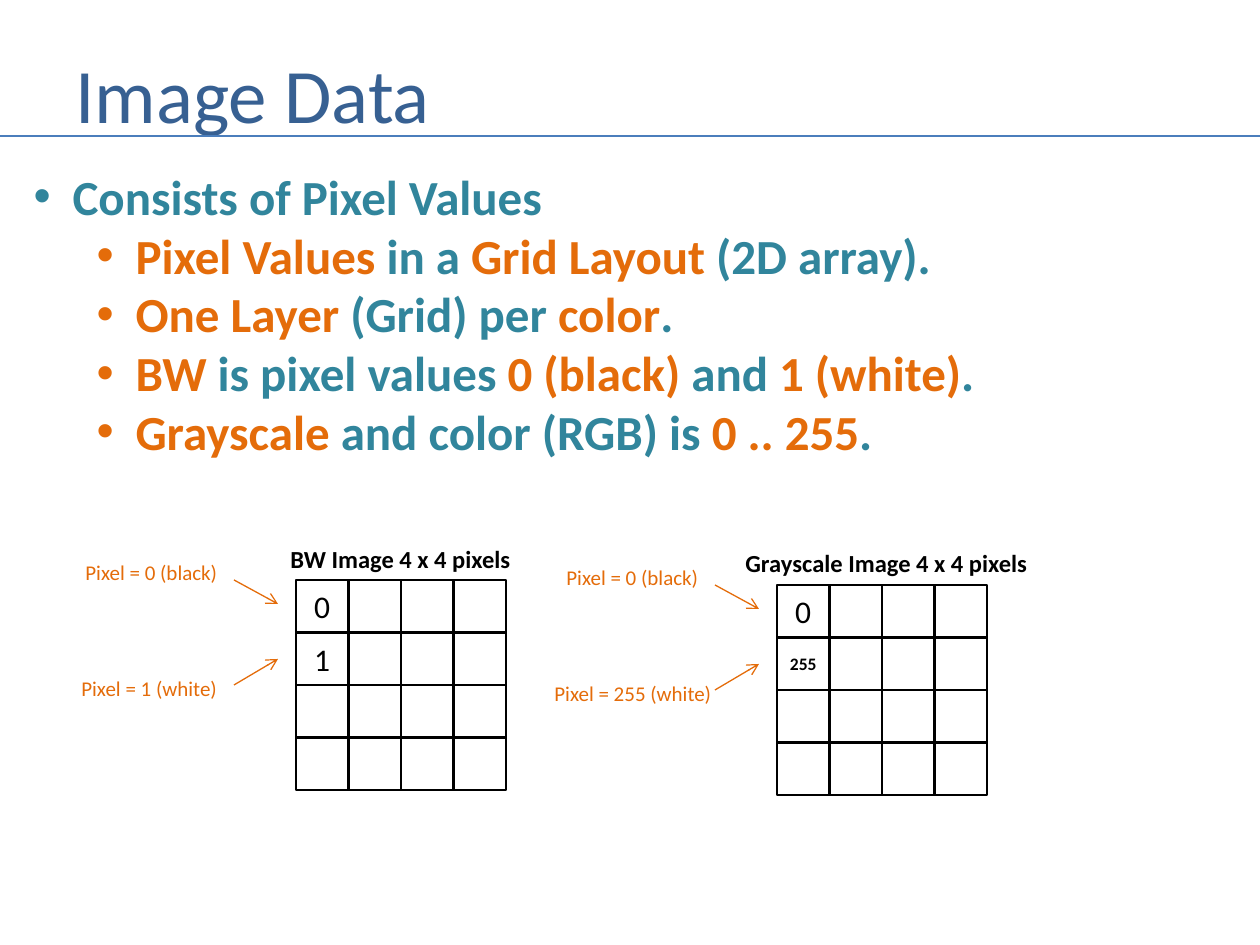
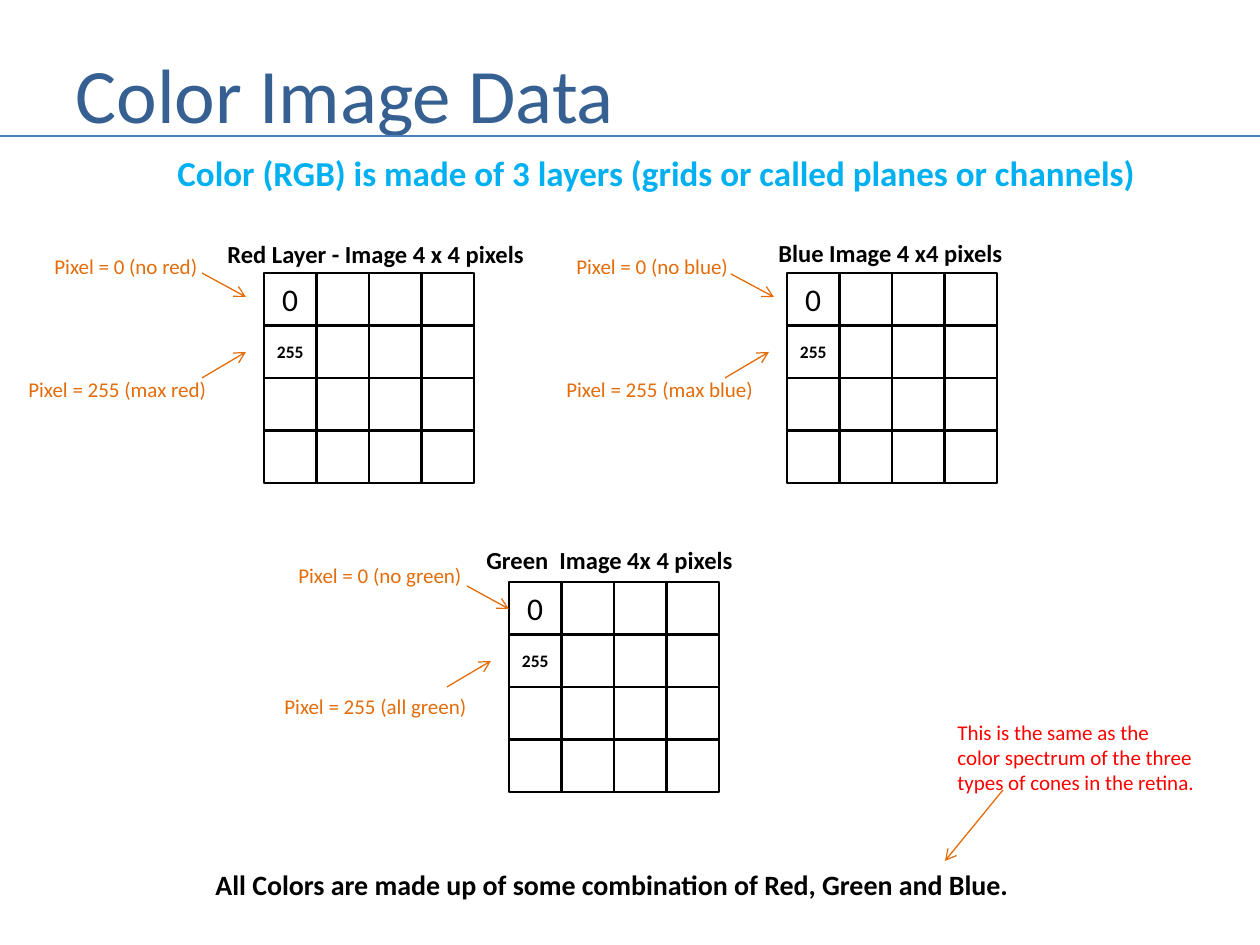
from lxml import etree
from pptx import Presentation
from pptx.dml.color import RGBColor
from pptx.enum import shapes, text
from pptx.oxml.ns import qn
from pptx.util import Emu, Pt

FONT = "Calibri"
BLUE, RULE, TEAL, ORANGE = "376092", "4B7EBC", "31859C", "E46C0A"
SKY, RED, BLACK = "00B0F0", "FF0000", "000000"
SCALE = 914400 // 126
SIZE = (1260, 945)
TITLE_BOX = (63, 38, 1144, 110)
RULE_Y = 136
LIST_BOX = (21, 160, 979, 310)
HANG = 39
LIST_MARGINS = (39, 102)
SIDE, CELLS = 210, 4
LOW_ARROW = ((-62, 105), (-18, 79))
HIGH_ARROW = ((-62, 0), (-18, 24))

BULLETS = [
    (0, [("Consists of Pixel Values", TEAL)]),
    (1, [("Pixel Values ", ORANGE), ("in a ", TEAL), ("Grid Layout ", ORANGE), ("(2D array).", TEAL)]),
    (1, [("One Layer ", ORANGE), ("(Grid) per ", TEAL), ("color", ORANGE), (".", TEAL)]),
    (1, [("BW", ORANGE), (" is pixel values ", TEAL), ("0 (black) ", ORANGE), ("and ", TEAL),
         ("1 (white)", ORANGE), (".", TEAL)]),
    (1, [("Grayscale", ORANGE), (" and color (RGB) is ", TEAL), ("0 .. 255", ORANGE), (".", TEAL)]),
]

BW_GRIDS = [
    dict(corner=(296, 580), values=("0", "1"),
         caption=("BW Image 4 x 4 pixels", (278, 538, 247, 43)),
         labels=[("Pixel = 0 (black)", (73, 553, 159, 38)),
                 ("Pixel = 1 (white)", (69, 669, 163, 38))]),
    dict(corner=(777, 585), values=("0", "255"),
         caption=("Grayscale Image 4 x 4 pixels", (733, 542, 309, 43)),
         labels=[("Pixel = 0 (black)", (554, 558, 159, 38)),
                 ("Pixel = 255 (white)", (542, 674, 184, 38))]),
]

COLOR_GRIDS = [
    dict(corner=(264, 273), values=("0", "255"),
         caption=("Red Layer - Image 4 x 4 pixels", (215, 233, 324, 43)),
         labels=[("Pixel = 0 (no red)", (42, 247, 170, 38)),
                 ("Pixel = 255 (max red)", (16, 370, 205, 38))]),
    dict(corner=(787, 273), values=("0", "255"), high_arrow=((-56, 1), (-13, 24)),
         caption=("Blue Image 4 x4 pixels", (766, 232, 251, 43)),
         labels=[("Pixel = 0 (no blue)", (564, 247, 179, 38)),
                 ("Pixel = 255 (max blue)", (554, 370, 214, 38))]),
    dict(corner=(509, 582), values=("0", "255"), high_arrow=((-42, 4), (0, 27)),
         caption=("Green  Image 4x 4 pixels", (474, 539, 273, 43)),
         labels=[("Pixel = 0 (no green)", (286, 556, 190, 38)),
                 ("Pixel = 255 (all green)", (272, 687, 210, 38))]),
]

REMARKS = [
    (["Color (RGB) is made of 3 layers (grids or called planes or channels)"],
     (165, 145, 992, 55), dict(size=20, color=SKY, bold=True)),
    (["All Colors are made up of some combination of Red, Green and Blue."],
     (203, 861, 829, 47), dict(size=16, bold=True)),
    (["This is the same as the", "color spectrum of the three", "types of cones in the retina."],
     (945, 713, 265, 89), dict(size=12, color=RED)),
]
REMARK_ARROW = ((1003, 790), (945, 861))


def px(length):
    return Emu(round(length * SCALE))


def rgb(code):
    return RGBColor.from_string(code)


def place(item, box):
    item.left, item.top, item.width, item.height = map(px, box)


def write(paragraph, words, size=12, color=BLACK, bold=False, align=text.PP_ALIGN.LEFT):
    paragraph.alignment = align
    run = paragraph.add_run()
    run.text = words
    run.font.name, run.font.size, run.font.bold = FONT, Pt(size), bold
    run.font.color.rgb = rgb(color)


def add_note(slide, lines, box, **style):
    frame = slide.shapes.add_textbox(*map(px, box)).text_frame
    frame.word_wrap = False
    frame.auto_size = text.MSO_AUTO_SIZE.SHAPE_TO_FIT_TEXT
    for i, words in enumerate(lines):
        write(frame.add_paragraph() if i else frame.paragraphs[0], words, **style)


def add_line(slide, start, end, color, width, arrow=False):
    line = slide.shapes.add_connector(shapes.MSO_CONNECTOR.STRAIGHT, *map(px, (*start, *end)))
    line.line.color.rgb = rgb(color)
    line.line.width = Pt(width)
    if arrow:
        etree.SubElement(line.line._get_or_add_ln(), qn("a:tailEnd"), type="arrow")
    etree.SubElement(line._element.spPr, qn("a:effectLst"))


def add_grid(slide, corner, values, caption, labels, high_arrow=HIGH_ARROW):
    left, top = corner
    step = SIDE / CELLS
    for row in range(CELLS):
        for column in range(CELLS):
            cell = slide.shapes.add_shape(
                shapes.MSO_SHAPE.RECTANGLE,
                *map(px, (left + column * step, top + row * step, step, step)))
            cell.shadow.inherit = False
            cell.fill.background()
            cell.line.color.rgb = rgb(BLACK)
            cell.line.width = Pt(1.5)
            if column == 0 and row < len(values):
                value = values[row]
                frame = cell.text_frame
                frame.word_wrap = False
                frame.vertical_anchor = text.MSO_ANCHOR.MIDDLE
                wide = len(value) > 1
                write(frame.paragraphs[0], value, size=10 if wide else 18, bold=wide,
                      align=text.PP_ALIGN.CENTER)
    add_note(slide, [caption[0]], caption[1], size=14, bold=True)
    for (words, box), arrow in zip(labels, (high_arrow, LOW_ARROW)):
        add_note(slide, [words], box, color=ORANGE)
        start, end = [(left + x, top + y) for x, y in arrow]
        add_line(slide, start, end, ORANGE, 0.75, arrow=True)


def add_slide(deck, layout, heading, grids):
    slide = deck.slides.add_slide(deck.slide_layouts[layout])
    title = slide.shapes.title
    place(title, TITLE_BOX)
    title.text_frame.auto_size = text.MSO_AUTO_SIZE.NONE
    title.text_frame.vertical_anchor = text.MSO_ANCHOR.MIDDLE
    write(title.text_frame.paragraphs[0], heading, size=44, color=BLUE)
    add_line(slide, (0, RULE_Y), (SIZE[0], RULE_Y), RULE, 1.5)
    for grid in grids:
        add_grid(slide, **grid)
    return slide


def fill_list(body):
    place(body, LIST_BOX)
    frame = body.text_frame
    frame.auto_size = text.MSO_AUTO_SIZE.NONE
    for i, (level, parts) in enumerate(BULLETS):
        bullet = frame.add_paragraph() if i else frame.paragraphs[0]
        bullet.level = level
        bullet.space_before = Pt(0)
        for words, color in parts:
            write(bullet, words, size=28, color=color, bold=True)
        properties = bullet._p.get_or_add_pPr()
        properties.set("marL", str(px(LIST_MARGINS[level])))
        properties.set("indent", str(-px(HANG)))
        etree.SubElement(properties, qn("a:buFont"), typeface="Arial")
        etree.SubElement(properties, qn("a:buChar"), char="•")


deck = Presentation()
deck.slide_width, deck.slide_height = map(px, SIZE)

image_data = add_slide(deck, 1, "Image Data", BW_GRIDS)
fill_list(image_data.placeholders[1])

color_data = add_slide(deck, 5, "Color Image Data", COLOR_GRIDS)
for lines, box, style in REMARKS:
    add_note(color_data, lines, box, **style)
add_line(color_data, *REMARK_ARROW, ORANGE, 0.75, arrow=True)

deck.save("out.pptx")
